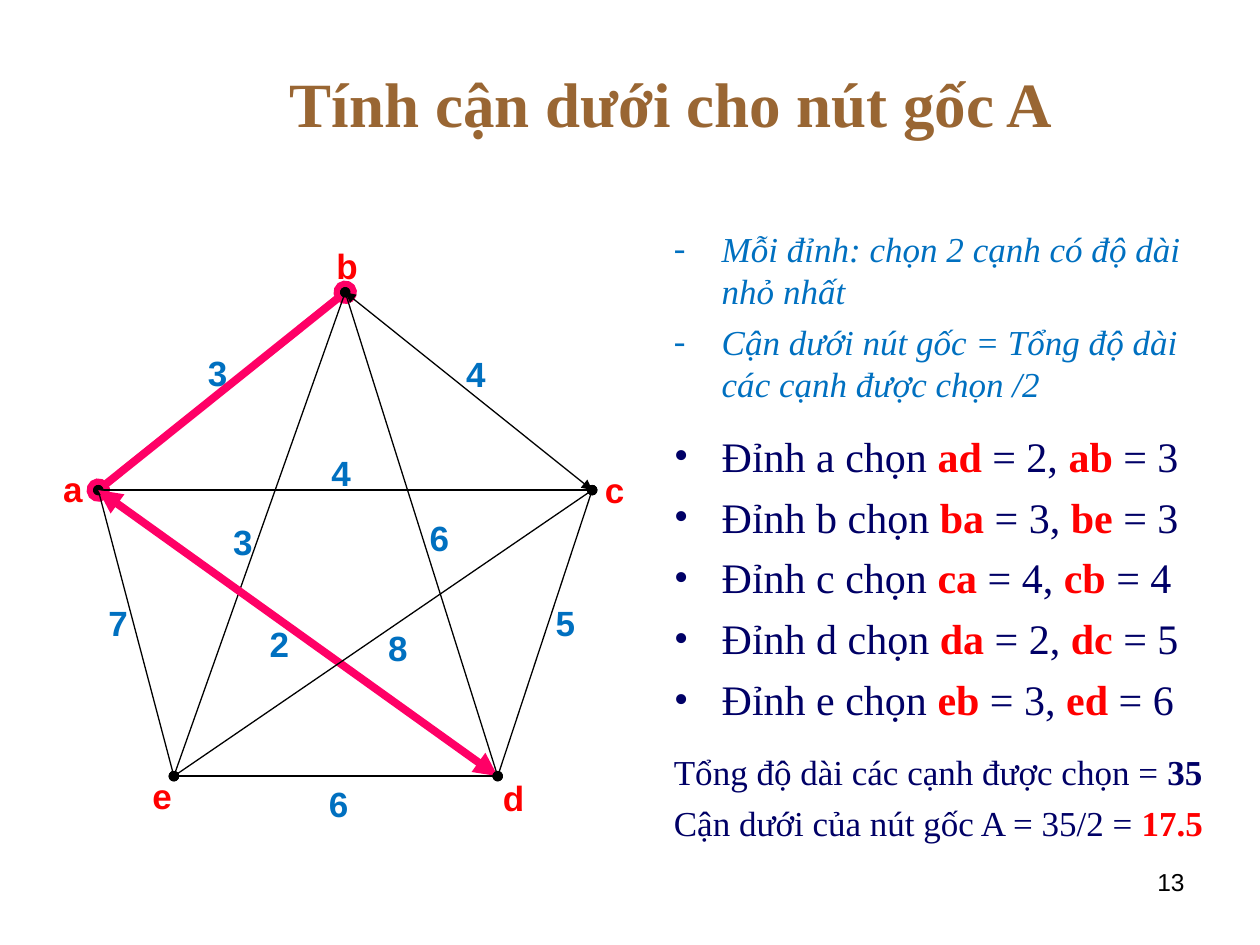
from dataclasses import dataclass

from lxml.etree import SubElement
from pptx import Presentation
from pptx.dml.color import RGBColor
from pptx.enum.shapes import MSO_CONNECTOR as Connector
from pptx.enum.text import MSO_ANCHOR as Anchor, PP_ALIGN as Align
from pptx.oxml.ns import qn
from pptx.util import Inches, Pt

COLUMNS, ROWS = 100, 75
SERIF, SANS = "Times New Roman", "Arial"
BROWN, BLUE, NAVY, RED = "996633", "0070C0", "000066", "FF0000"
PINK, BLACK = "FF0066", "000000"

deck = Presentation()
deck.slide_width, deck.slide_height = Inches(10), Inches(7.5)
page = deck.slides.add_slide(deck.slide_layouts[6])


@dataclass
class Span:
    text: str
    color: str = NAVY
    size: float = 20
    bold: bool = False
    italic: bool = False
    font: str = SERIF


@dataclass
class Para:
    spans: list[Span]
    align: Align = Align.LEFT
    before: float = 0
    bullet: str = ""
    hanging: bool = False


@dataclass
class Edge:
    start: str
    end: str
    color: str = BLACK
    width: float = 0.75
    tip: str = "oval"


@dataclass
class Label:
    text: str
    column: float
    row: float
    color: str = BLUE


NODES = {"a": (7.8, 38.9), "b": (27.4, 23.2), "c": (47, 38.9), "d": (39.5, 61.6), "e": (13.8, 61.6)}

EDGES = [
    Edge("a", "b", PINK, 4.5),
    Edge("c", "b", tip="triangle"),
    Edge("e", "b"),
    Edge("d", "b"),
    Edge("a", "c"),
    Edge("a", "e"),
    Edge("a", "d", PINK, 4.5, "triangle"),
    Edge("e", "c"),
    Edge("e", "d"),
    Edge("d", "c"),
]

LABELS = [
    Label("2", 21.4, 49.4),
    Label("8", 30.8, 49.7),
    Label("6", 34.1, 41),
    Label("4", 26.3, 35.8),
    Label("3", 18.5, 41.3),
    Label("7", 8.6, 47.7),
    Label("6", 26.1, 62.1),
    Label("5", 44.1, 47.7),
    Label("4", 37, 28),
    Label("3", 16.5, 27.9),
    Label("e", 12.1, 61.5, RED),
    Label("d", 39.9, 61.6, RED),
    Label("c", 48, 37.2, RED),
    Label("a", 5, 37.1, RED),
    Label("b", 26.7, 19.4, RED),
]

RULES = ["Mỗi đỉnh: chọn 2 cạnh có độ dài nhỏ nhất", "Cận dưới nút gốc = Tổng độ dài các cạnh được chọn /2"]

CHOICES = [
    ("a", "ad", 2, "ab", 3),
    ("b", "ba", 3, "be", 3),
    ("c", "ca", 4, "cb", 4),
    ("d", "da", 2, "dc", 5),
    ("e", "eb", 3, "ed", 6),
]


def across(columns: float) -> int:
    """Turn grid columns into a length."""
    return round(deck.slide_width * columns / COLUMNS)


def down(rows: float) -> int:
    """Turn grid rows into a length."""
    return round(deck.slide_height * rows / ROWS)


def paint(target, color: str) -> None:
    """Give a colour format a hex colour."""
    target.rgb = RGBColor.from_string(color)


def add_bullet(paragraph, mark: str, color: str) -> None:
    """Put a coloured bullet character on a paragraph."""
    properties = paragraph._p.get_or_add_pPr()
    tint = SubElement(properties, qn("a:buClr"))
    SubElement(tint, qn("a:srgbClr"), val=color)
    SubElement(properties, qn("a:buFont"), typeface=SERIF)
    SubElement(properties, qn("a:buChar"), char=mark)


def add_text(left: float, top: float, width: float, height: float, paras: list[Para],
             anchor: Anchor = Anchor.TOP, wrap: bool = True, margin: bool = True) -> None:
    """Write paragraphs into a text box placed on the grid."""
    box = page.shapes.add_textbox(across(left), down(top), across(width), down(height))
    frame = box.text_frame
    frame.word_wrap, frame.vertical_anchor = wrap, anchor
    if not margin:
        frame.margin_left = frame.margin_right = frame.margin_top = frame.margin_bottom = 0
    for index, para in enumerate(paras):
        paragraph = frame.paragraphs[0] if index == 0 else frame.add_paragraph()
        paragraph.alignment = para.align
        paragraph.space_before = Pt(para.before)
        if para.hanging:
            properties = paragraph._p.get_or_add_pPr()
            properties.set("marL", str(Inches(0.38)))
            properties.set("indent", str(Inches(-0.38)))
        if para.bullet:
            add_bullet(paragraph, para.bullet, para.spans[0].color)
        for span in para.spans:
            run = paragraph.add_run()
            run.text = span.text
            font = run.font
            font.name, font.size = span.font, Pt(span.size)
            font.bold, font.italic = span.bold, span.italic
            paint(font.color, span.color)


def add_label(label: Label) -> None:
    """Write one node name or edge weight."""
    span = Span(label.text, label.color, bold=True, font=SANS)
    add_text(label.column, label.row, 1.5, 3.5, [Para([span], Align.CENTER)], wrap=False, margin=False)


def add_edge(edge: Edge) -> None:
    """Draw an edge between two nodes with the same tip at both ends."""
    (x1, y1), (x2, y2) = NODES[edge.start], NODES[edge.end]
    line = page.shapes.add_connector(Connector.STRAIGHT, across(x1), down(y1), across(x2), down(y2))
    line.line.width = Pt(edge.width)
    paint(line.line.fill_format.fore_color if hasattr(line.line, "fill_format") else line.line.color, edge.color)
    outline = line.line._get_or_add_ln()
    for end in ("a:headEnd", "a:tailEnd"):
        SubElement(outline, qn(end), type=edge.tip)
    SubElement(line._element.spPr, qn("a:effectLst"))


def choice_para(index: int, choice: tuple) -> Para:
    """List the two shortest edges chosen at a node."""
    node, first, first_length, second, second_length = choice
    spans = [
        Span(f"Ðỉnh {node} chọn ", size=24),
        Span(first, RED, 24, True),
        Span(f" = {first_length}, ", size=24),
        Span(second, RED, 24, True),
        Span(f" = {second_length}", size=24),
    ]
    return Para(spans, before=6 if index else 14.5, bullet="•", hanging=True)


def main() -> None:
    """Build the slide and save it."""
    title = Span("Tính cận dưới cho nút gốc A ", BROWN, 36, True)
    add_text(12.5, 3, 82.5, 10.3, [Para([title], Align.CENTER)], Anchor.MIDDLE)
    body = [Para([Span(rule, BLUE, italic=True)], before=5 if index else 0, bullet="-", hanging=True)
            for index, rule in enumerate(RULES)]
    body += [choice_para(index, choice) for index, choice in enumerate(CHOICES)]
    body += [
        Para([Span("Tổng độ dài các cạnh được chọn = "), Span("35", bold=True)], before=15, hanging=True),
        Para([Span("Cận dưới của nút gốc A = 35/2 = "), Span("17.5", RED, bold=True)], before=5, hanging=True),
    ]
    add_text(52.5, 17.6, 45.6, 50.8, body)
    add_text(71.7, 68.3, 23.3, 5.2, [Para([Span("13", BLACK, 14, font=SANS)], Align.RIGHT)])
    for label in LABELS:
        add_label(label)
    for edge in EDGES:
        add_edge(edge)
    deck.save("out.pptx")


if __name__ == "__main__":
    main()
